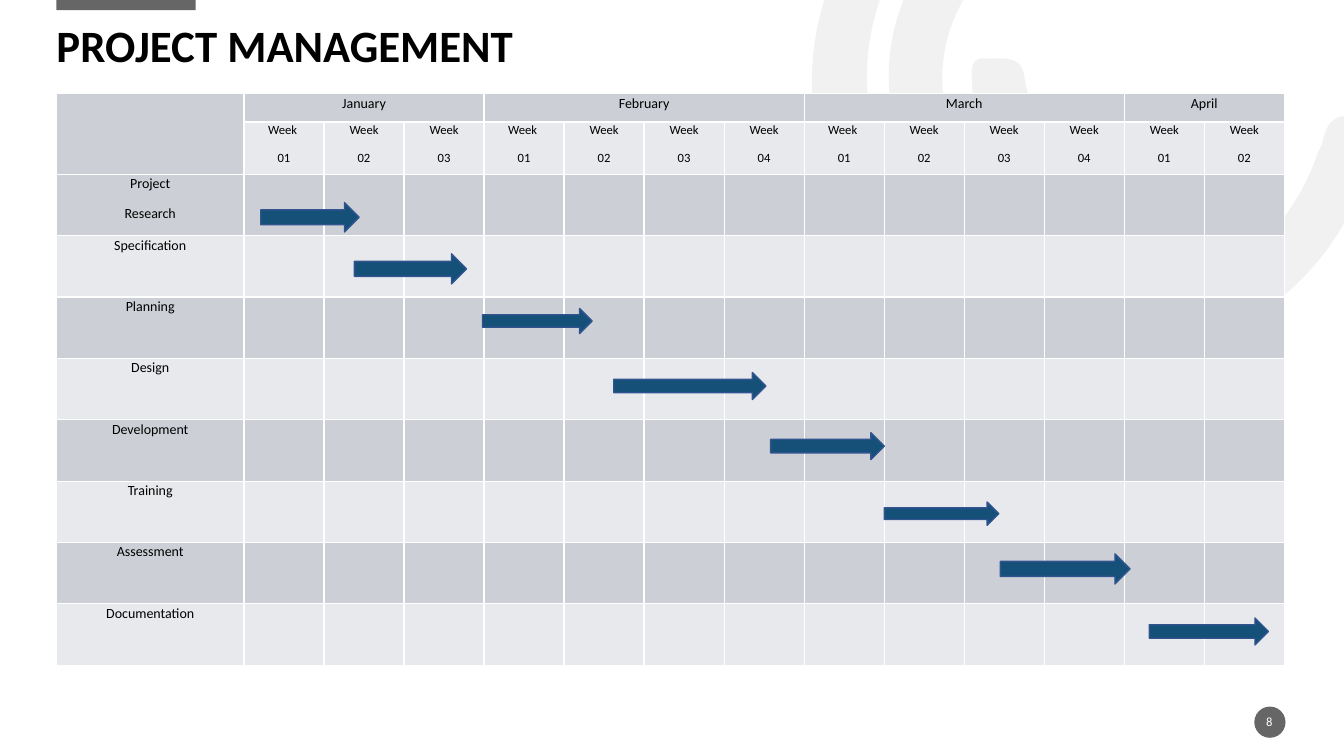
from itertools import product
from lxml import etree
from pptx import Presentation, util as u
from pptx.dml.color import RGBColor
from pptx.enum import shapes, text
from pptx.oxml.ns import qn

TITLE = "PROJECT MANAGEMENT"
PAGE_NUMBER = "8"
MONTHS = [("January", 3), ("February", 4), ("March", 4), ("April", 2)]
TASKS = [
    ("Project\nResearch", 0.21, 1.23, 0.70, 0.48),
    ("Specification", 1.38, 1.40, 0.54, 0.49),
    ("Planning", 2.98, 1.37, 0.39, 0.41),
    ("Design", 4.62, 1.90, 0.45, 0.44),
    ("Development", 6.58, 1.42, 0.43, 0.44),
    ("Training", 8.00, 1.43, 0.53, 0.38),
    ("Assessment", 9.45, 1.62, 0.43, 0.49),
    ("Documentation", 11.31, 1.49, 0.45, 0.44),
]
SWIRLS = [
    ((8.51, 2.29), [
        (7.99, 1.49, 7.87, 0.5, 8.38, -0.5), (8.9, -1.52, 9.76, -2.03, 10.9, -2.07),
        (11.05, -2.07, 11.21, -2.1, 11.31, -1.95), (11.44, -1.75, 11.27, -1.54, 10.98, -1.54),
        (9.67, -1.54, 8.65, -0.59, 8.6, 0.68), (8.56, 1.81, 9.36, 2.81, 10.46, 3.02),
        (11.6, 3.24, 12.7, 2.61, 13.07, 1.52), (13.09, 1.48, 13.11, 1.44, 13.12, 1.4),
        (13.16, 1.19, 13.27, 1.11, 13.49, 1.17), (13.73, 1.24, 13.67, 1.41, 13.61, 1.56),
        (13.34, 2.45, 12.78, 3.07, 11.91, 3.41), (10.7, 3.87, 9.36, 3.45, 8.51, 2.29)]),
    ((9.22, 1.99), [
        (8.62, 1.15, 8.69, 0.07, 9.4, -0.68), (9.51, -0.79, 9.62, -0.95, 9.8, -0.78),
        (9.95, -0.64, 9.97, -0.5, 9.79, -0.32), (9.25, 0.26, 9.2, 1.08, 9.65, 1.68),
        (10.08, 2.29, 10.88, 2.49, 11.61, 2.15), (11.82, 2.05, 11.93, 2.12, 12.03, 2.29),
        (12.13, 2.5, 11.97, 2.56, 11.83, 2.63), (10.96, 3.1, 9.83, 2.82, 9.22, 1.99)]),
    ((9.87, 1.51), [
        (9.75, 1.3, 9.64, 1.07, 9.64, 0.82), (9.64, 0.73, 9.61, 0.57, 9.76, 0.58),
        (9.92, 0.59, 10.13, 0.53, 10.16, 0.76), (10.21, 1.1, 10.36, 1.32, 10.67, 1.48),
        (10.88, 1.57, 10.76, 1.76, 10.72, 1.89), (10.68, 2.06, 10.55, 1.98, 10.45, 1.94),
        (10.21, 1.87, 10.03, 1.7, 9.87, 1.51)]),
]
COLORS = {"grey": "666666", "swirl": "E7E6E6", "dark": "CCD0D6", "light": "E8E9EC",
          "arrow": "155078", "edge": "31538F", "white": "FFFFFF", "black": "000000"}
WIDTH, HEIGHT = 13.33, 7.5
LEFT, TOP, TABLE_W, TABLE_H = 0.56, 0.93, 12.18, 5.67
NAME_W, MONTH_H, WEEK_H = 1.86, 0.28, 0.52
WEEKS = sum(count for _, count in MONTHS)
WEEK_W = (TABLE_W - NAME_W) / WEEKS
TASK_H = (TABLE_H - MONTH_H - WEEK_H) / len(TASKS)
CELL_PARA = {"alignment": text.PP_ALIGN.CENTER, "line_spacing": 1.07, "space_after": u.Pt(8)}


def color(name):
    return RGBColor.from_string(COLORS[name])


def apply(target, values):
    for key, value in values.items():
        setattr(target, key, value)


def paint(shape, fill, line=None):
    shape.shadow.inherit = False
    shape.fill.solid()
    shape.fill.fore_color.rgb = color(fill)
    if line:
        shape.line.color.rgb = color(line)
        shape.line.width = u.Pt(1)
    else:
        shape.line.fill.background()


def add_shape(page, kind, place, fill, line=None):
    shape = page.shapes.add_shape(kind, *map(u.Inches, place))
    paint(shape, fill, line)


def write(frame, words, size, ink, para_format, bold=False):
    for index, line in enumerate(words.split("\n")):
        para = frame.add_paragraph() if index else frame.paragraphs[0]
        apply(para, para_format)
        if line:
            span = para.add_run()
            span.text = line
            apply(span.font, {"name": "Calibri", "size": u.Pt(size), "bold": bold})
            span.font.color.rgb = color(ink)
        else:
            etree.SubElement(para._p, qn("a:endParaRPr"), sz=str(size * 100))


def add_text(page, place, words, size, ink, anchor, para_format, bold=False):
    box = page.shapes.add_textbox(*map(u.Inches, place))
    frame = box.text_frame
    apply(frame, {"word_wrap": True, "vertical_anchor": anchor, "margin_left": 0,
                  "margin_right": 0, "margin_top": 0, "margin_bottom": 0})
    write(frame, words, size, ink, para_format, bold)


def add_swirl(page, start, curves):
    builder = page.shapes.build_freeform(*map(u.Inches, start))
    ends = [(u.Inches(curve[4]), u.Inches(curve[5])) for curve in curves]
    builder.add_line_segments(ends, close=True)
    swirl = builder.convert_to_shape()
    paint(swirl, "swirl")
    props = swirl._element.spPr
    tint = props.find(qn("a:solidFill"))[0]
    etree.SubElement(tint, qn("a:alpha"), val="53000")

    outline = next(props.iter(qn("a:path")))
    for segment in outline.findall(qn("a:lnTo")):
        outline.remove(segment)
    for index, curve in enumerate(curves, 1):
        bend = etree.Element(qn("a:cubicBezTo"))
        for x, y in zip(curve[::2], curve[1::2]):
            etree.SubElement(bend, qn("a:pt"), x=str(u.Inches(x) - swirl.left),
                             y=str(u.Inches(y) - swirl.top))
        outline.insert(index, bend)


def format_cell(cell, words, size, fill):
    apply(cell, {"margin_left": u.Inches(0.07), "margin_right": u.Inches(0.07),
                 "margin_top": 0, "margin_bottom": 0})
    write(cell.text_frame, words, size, "black", CELL_PARA)
    props = cell._tc.get_or_add_tcPr()
    for side in ("lnL", "lnR", "lnT", "lnB"):
        border = etree.SubElement(props, qn("a:" + side), w=str(u.Pt(1)))
        solid = etree.SubElement(border, qn("a:solidFill"))
        etree.SubElement(solid, qn("a:srgbClr"), val=COLORS["white"])
    cell.fill.solid()
    cell.fill.fore_color.rgb = color(fill)


def add_schedule(page):
    rows, columns = len(TASKS) + 2, WEEKS + 1
    place = map(u.Inches, (LEFT, TOP, TABLE_W, TABLE_H))
    table = page.shapes.add_table(rows, columns, *place).table
    for column, width in zip(table.columns, [NAME_W] + [WEEK_W] * WEEKS):
        column.width = u.Inches(width)
    for row, height in zip(table.rows, [MONTH_H, WEEK_H] + [TASK_H] * len(TASKS)):
        row.height = u.Inches(height)

    labels = {(row, 0): task[0] for row, task in enumerate(TASKS, 2)}
    first = 1
    for month, count in MONTHS:
        labels[0, first] = month
        for week in range(count):
            gap = " " if week == 0 and month != "April" else ""
            labels[1, first + week] = f"Week{gap}\n{week + 1:02}"
        table.cell(0, first).merge(table.cell(0, first + count - 1))
        first += count
    table.cell(0, 0).merge(table.cell(1, 0))
    for row, column in product(range(rows), range(columns)):
        fill = "light" if row % 2 and (row, column) != (1, 0) else "dark"
        format_cell(table.cell(row, column), labels.get((row, column), ""),
                    9 if row == 1 else 10, fill)


def add_arrows(page):
    first_top = TOP + MONTH_H + WEEK_H
    for row, (_, start, weeks, centre, share) in enumerate(TASKS):
        height = share * TASK_H
        place = (LEFT + NAME_W + start * WEEK_W, first_top + (row + centre) * TASK_H - height / 2,
                 weeks * WEEK_W, height)
        add_shape(page, shapes.MSO_SHAPE.RIGHT_ARROW, place, "arrow", "edge")


def main():
    deck = Presentation()
    deck.slide_width, deck.slide_height = u.Inches(WIDTH), u.Inches(HEIGHT)
    page = deck.slides.add_slide(deck.slide_layouts[6])
    add_shape(page, shapes.MSO_SHAPE.RECTANGLE, (LEFT, -0.02, 1.38, 0.12), "grey")
    add_shape(page, shapes.MSO_SHAPE.OVAL, (12.44, 7.01, 0.31, 0.31), "grey")
    for start, curves in SWIRLS:
        add_swirl(page, start, curves)
    add_text(page, (LEFT, 0, TABLE_W, 0.72), TITLE, 32, "black",
             text.MSO_ANCHOR.BOTTOM, {"line_spacing": 0.9}, True)
    add_text(page, (12.43, 7.06, 0.32, 0.2), PAGE_NUMBER, 9, "white",
             text.MSO_ANCHOR.MIDDLE, {"alignment": text.PP_ALIGN.CENTER})
    add_schedule(page)
    add_arrows(page)
    add_shape(page, shapes.MSO_SHAPE.RECTANGLE, (0.42, 6.81, 1.33, 0.69), "white")
    deck.save("out.pptx")


if __name__ == "__main__":
    main()
